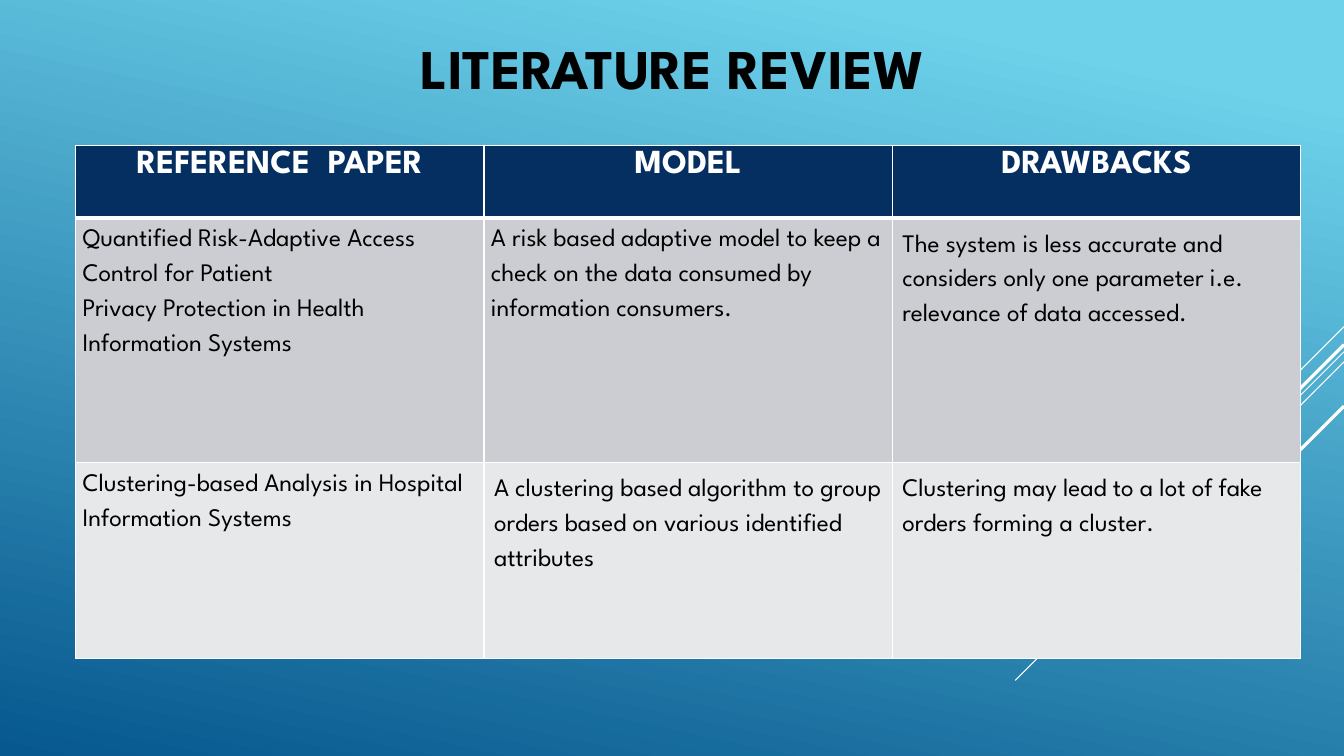
from dataclasses import dataclass

from lxml.etree import SubElement
from pptx import Presentation
from pptx.dml.color import RGBColor
from pptx.enum.shapes import MSO_CONNECTOR as Connector
from pptx.enum.text import MSO_ANCHOR as Anchor, PP_ALIGN as Align
from pptx.oxml import parse_xml
from pptx.oxml.ns import nsdecls, qn
from pptx.util import Inches, Pt

COLORS = {
    "sky": "6ED2EB",
    "ocean": "06588E",
    "navy": "052F61",
    "gray": "CCCDD2",
    "pale": "E7E8EA",
    "white": "FFFFFF",
    "black": "000000",
}
FONT = "League Spartan"
SLIDE_WIDTH = 13.33


@dataclass
class Streak:
    top: float
    length: float
    weight: float


@dataclass
class Entry:
    lines: list[str]
    side: float = 0.1
    top: float = 0.05
    after: float = 0


@dataclass
class Row:
    height: float
    fill: str
    entries: list[Entry]
    header: bool = False


STREAKS = [
    Streak(3.24, 1, 0.75),
    Streak(3.49, 3.26, 0.75),
    Streak(3.59, 2.07, 0.75),
    Streak(3.42, 1.91, 2.25),
    Streak(4.03, 1.39, 2.25),
]

ROWS = [
    Row(0.72, "navy", [Entry(["REFERENCE  PAPER"]), Entry(["MODEL"]), Entry(["DRAWBACKS"])], True),
    Row(2.43, "gray", [
        Entry([
            "Quantified Risk-Adaptive Access Control for Patient",
            "Privacy Protection in Health Information Systems",
        ], 0.07, 0),
        Entry([
            "A risk based adaptive model to keep a check on the data consumed by information consumers.",
        ], 0.07, 0),
        Entry([
            "The system is less accurate and considers only one parameter i.e. relevance of data accessed.",
        ], after=8),
    ]),
    Row(1.94, "pale", [
        Entry(["Clustering-based Analysis in Hospital Information Systems"], 0.07, 0),
        Entry(["A clustering based algorithm to group orders based on various identified attributes"]),
        Entry(["Clustering may lead to a lot of fake orders forming a cluster."]),
    ]),
]


def rgb(name: str) -> RGBColor:
    return RGBColor.from_string(COLORS[name])


def assign(target, values: dict) -> None:
    for name, value in values.items():
        setattr(target, name, value)


def write(para, text: str, size: float, color: str, bold: bool) -> None:
    span = para.add_run()
    span.text = text
    assign(span.font, {"name": FONT, "size": Pt(size), "bold": bold})
    span.font.color.rgb = rgb(color)


def paint_background(page) -> None:
    fill = page.background.fill
    fill.gradient()
    fill.gradient_angle = 360 - 102
    for stop, position, color in zip(fill.gradient_stops, (0.1, 1), ("sky", "ocean")):
        stop.position = position
        stop.color.rgb = rgb(color)


def draw_streak(page, streak: Streak) -> None:
    line = page.shapes.add_connector(
        Connector.STRAIGHT,
        Inches(SLIDE_WIDTH), Inches(streak.top),
        Inches(SLIDE_WIDTH - streak.length), Inches(streak.top + streak.length),
    )
    line.line.color.rgb = rgb("white")
    line.line.width = Pt(streak.weight)
    SubElement(line.element.spPr, qn("a:effectLst"))


def draw_title(page) -> None:
    title = page.shapes.title
    assign(title, {
        "left": Inches(0.75), "top": Inches(0),
        "width": Inches(11.84), "height": Inches(1.33),
    })
    title.text_frame.vertical_anchor = Anchor.MIDDLE
    para = title.text_frame.paragraphs[0]
    para.alignment = Align.CENTER
    write(para, "LITERATURE REVIEW", 40, "black", True)


def draw_borders(cell, weights: dict[str, float]) -> None:
    properties = cell._tc.get_or_add_tcPr()
    for index, (side, weight) in enumerate(weights.items()):
        properties.insert(index, parse_xml(
            f'<a:ln{side} {nsdecls("a")} w="{Pt(weight)}"><a:solidFill>'
            f'<a:srgbClr val="{COLORS["white"]}"/></a:solidFill></a:ln{side}>'
        ))


def fill_cell(cell, entry: Entry, row: Row, top_weight: float) -> None:
    cell.fill.solid()
    cell.fill.fore_color.rgb = rgb(row.fill)
    draw_borders(cell, {"L": 1, "R": 1, "T": top_weight, "B": 3 if row.header else 1})
    assign(cell, {
        "margin_left": Inches(entry.side), "margin_right": Inches(entry.side),
        "margin_top": Inches(entry.top), "margin_bottom": Inches(entry.top),
    })
    frame = cell.text_frame
    for index, text in enumerate(entry.lines):
        para = frame.add_paragraph() if index else frame.paragraphs[0]
        if row.header:
            para.alignment = Align.CENTER
            write(para, text, 24, "white", True)
        else:
            assign(para, {"line_spacing": 1.5, "space_after": Pt(entry.after)})
            write(para, text, 18, "black", False)


def draw_table(page) -> None:
    table = page.shapes.add_table(
        len(ROWS), len(ROWS[0].entries),
        Inches(0.75), Inches(1.44), Inches(12.15), Inches(5.09),
    ).table
    table.horz_banding = False
    for index, row in enumerate(ROWS):
        table.rows[index].height = Inches(row.height)
        top_weight = 3 if index and ROWS[index - 1].header else 1
        for cell, entry in zip(table.rows[index].cells, row.entries):
            fill_cell(cell, entry, row, top_weight)


def main() -> None:
    deck = Presentation()
    assign(deck, {"slide_width": Inches(SLIDE_WIDTH), "slide_height": Inches(7.5)})
    page = deck.slides.add_slide(deck.slide_layouts[5])
    paint_background(page)
    for streak in STREAKS:
        draw_streak(page, streak)
    draw_title(page)
    draw_table(page)
    deck.save("out.pptx")


if __name__ == "__main__":
    main()
